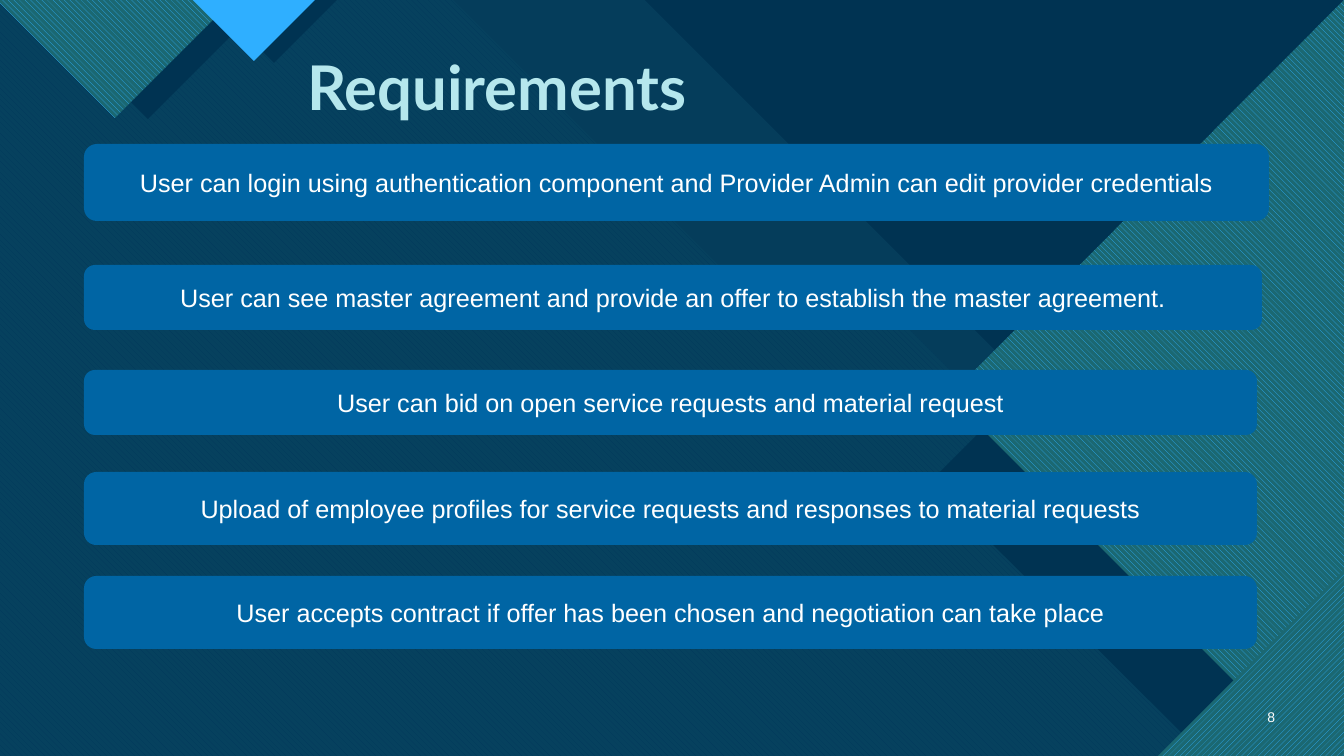
from pptx import Presentation
from pptx.dml.color import RGBColor
from pptx.enum.dml import MSO_PATTERN
from pptx.enum.shapes import MSO_SHAPE
from pptx.enum.text import MSO_ANCHOR, MSO_AUTO_SIZE, PP_ALIGN
from pptx.oxml.ns import qn
from pptx.util import Pt
from lxml import etree

ROUNDED = MSO_SHAPE.ROUNDED_RECTANGLE
DOWN = MSO_PATTERN.WIDE_DOWNWARD_DIAGONAL
UP = MSO_PATTERN.WIDE_UPWARD_DIAGONAL
LEFT, CENTER, RIGHT = PP_ALIGN.LEFT, PP_ALIGN.CENTER, PP_ALIGN.RIGHT
MIDDLE, BOTTOM = MSO_ANCHOR.MIDDLE, MSO_ANCHOR.BOTTOM
NO_AUTOFIT = MSO_AUTO_SIZE.NONE
SCALE = 914400 / 100.8
WIDTH, HEIGHT = 1344, 756


def px(n):
    return round(n * SCALE)


def color(value):
    return RGBColor.from_string(value)


class Deck:
    navy, base, blue = "003352", "0C4360", "0065A4"
    aqua, bright, teal = "47C3D3", "2FAFFF", "1B6872"
    white, pale = "FFFFFF", "B5E7ED"
    body_font, title_font = "Arial", "Lato"

    def __init__(self):
        self.prs = Presentation()
        self.prs.slide_width, self.prs.slide_height = px(WIDTH), px(HEIGHT)
        self.s = self.prs.slides.add_slide(self.prs.slide_layouts[5])
        fill = self.s.background.fill
        fill.solid()
        fill.fore_color.rgb = color(self.base)

    def paint(self, sp, fore, back=None, pattern=None, alpha=None):
        sp.shadow.inherit = False
        sp.line.fill.background()
        if pattern is None:
            sp.fill.solid()
        else:
            sp.fill.patterned()
            sp.fill.pattern = pattern
            sp.fill.back_color.rgb = color(back)
        sp.fill.fore_color.rgb = color(fore)
        if alpha:
            clr = sp._element.spPr.find(".//" + qn("a:srgbClr"))
            etree.SubElement(clr, qn("a:alpha")).set("val", str(alpha * 1000))

    def polygon(self, points, fore, **style):
        fb = self.s.shapes.build_freeform(*points[0], scale=SCALE)
        fb.add_line_segments(points[1:], close=True)
        self.paint(fb.convert_to_shape(), fore, **style)

    def set_text(self, sp, text, size, rgb, align, anchor=MIDDLE, name=body_font, bold=False, spacing=1.0):
        tf = sp.text_frame
        for key, value in {"word_wrap": True, "auto_size": NO_AUTOFIT, "vertical_anchor": anchor}.items():
            setattr(tf, key, value)
        p = tf.paragraphs[0]
        p.alignment, p.line_spacing = align, spacing
        r = p.add_run()
        r.text = text
        for key, value in {"name": name, "size": Pt(size), "bold": bold}.items():
            setattr(r.font, key, value)
        r.font.color.rgb = color(rgb)

    def title(self, text, box):
        sp = self.s.shapes.title
        for key, value in zip(("left", "top", "width", "height"), box):
            setattr(sp, key, px(value))
        self.s.shapes._spTree.append(sp._element)
        self.set_text(sp, text, 44, self.pale, LEFT, BOTTOM, self.title_font, True, 0.9)

    def number(self, text, box):
        sp = self.s.shapes.add_textbox(*map(px, box))
        self.set_text(sp, text, 10, self.white, RIGHT)

    def bar(self, text, box):
        sp = self.s.shapes.add_shape(ROUNDED, *map(px, box))
        self.paint(sp, self.blue)
        self.set_text(sp, text, 18, self.white, CENTER)


def draw_background(deck):
    green = {"back": deck.teal, "pattern": DOWN}
    deck.polygon([(0, 0), (832, 0), (1131, 299), (1244, 299), (WIDTH, 399),
                  (WIDTH, HEIGHT), (0, HEIGHT)], deck.aqua, alpha=74)
    deck.polygon([(0, 0), (453, 0), (752, 299), (879, 299), (1336, HEIGHT), (0, HEIGHT)],
                 deck.blue, back=deck.aqua, pattern=DOWN)
    deck.polygon([(645, 0), (WIDTH, 0), (WIDTH, 699)], deck.navy)
    deck.polygon([(0, 0), (701, 0), (1000, 299), (1127, 299), (WIDTH, 516),
                  (WIDTH, HEIGHT), (0, HEIGHT)], deck.navy, alpha=90)
    deck.polygon([(WIDTH, 68), (WIDTH, HEIGHT), (1205, HEIGHT), (930, 482)], deck.navy)
    deck.polygon([(WIDTH, 0), (WIDTH, HEIGHT), (1309, HEIGHT), (949, 396)], deck.bright, **green)
    deck.polygon([(WIDTH, 570), (WIDTH, HEIGHT), (1158, HEIGHT)],
                 deck.bright, back=deck.teal, pattern=UP)
    for middle, depth, fore, style in [(148, 119, deck.navy, {}), (115, 118, deck.bright, green),
                                       (274, 63, deck.navy, {}), (254, 61, deck.bright, {})]:
        deck.polygon([(middle - depth, 0), (middle, depth), (middle + depth, 0)], fore, **style)


def main():
    deck = Deck()
    draw_background(deck)
    deck.number("8", (1241, 697, 44, 40))
    deck.title("Requirements", (297, 36, 652, 93))
    requirements = [
        (144, 1185, 77, "User can login using authentication component and Provider Admin can edit provider credentials"),
        (265, 1178, 65, "User can see master agreement and provide an offer to establish the master agreement."),
        (370, 1173, 65, "User can bid on open service requests and material request"),
        (472, 1173, 73, "Upload of employee profiles for service requests and responses to material requests"),
        (576, 1173, 73, "User accepts contract if offer has been chosen and negotiation can take place"),
    ]
    for top, width, height, text in requirements:
        deck.bar(text, (84, top, width, height))
    deck.prs.save("out.pptx")


if __name__ == "__main__":
    main()
